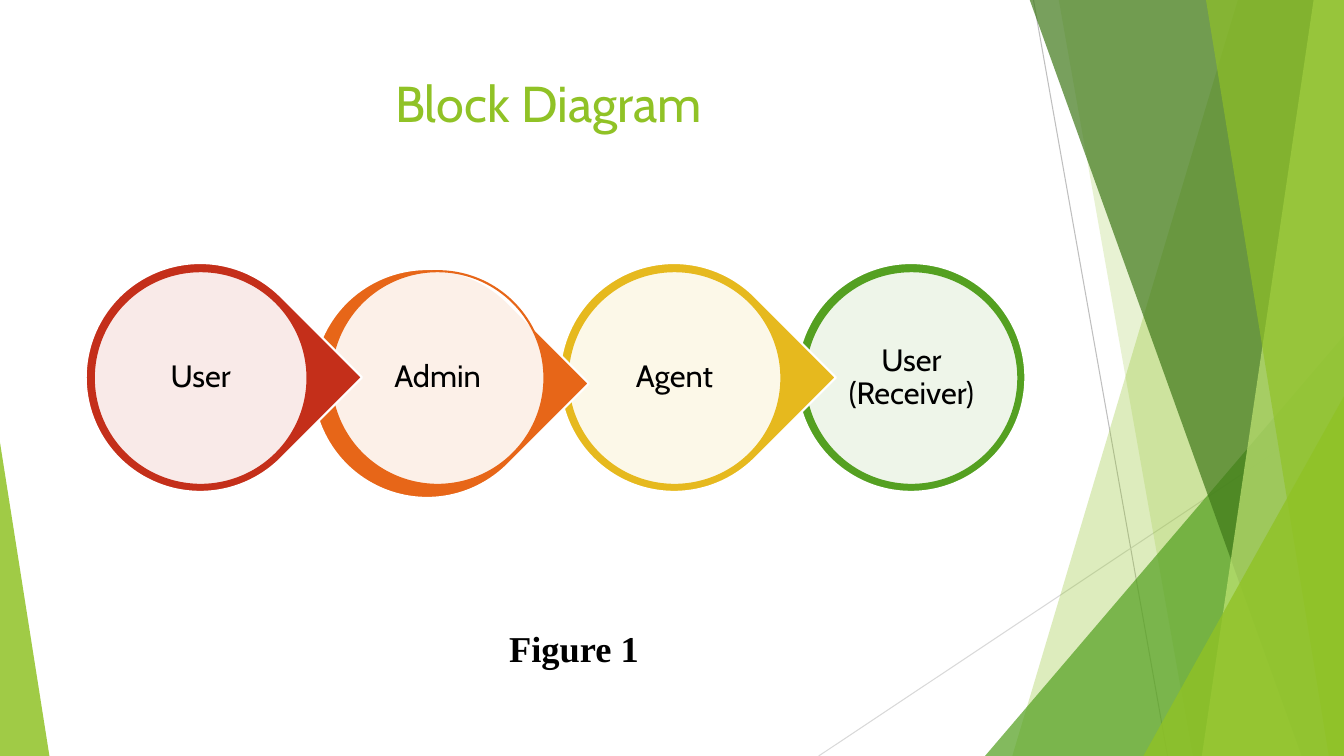
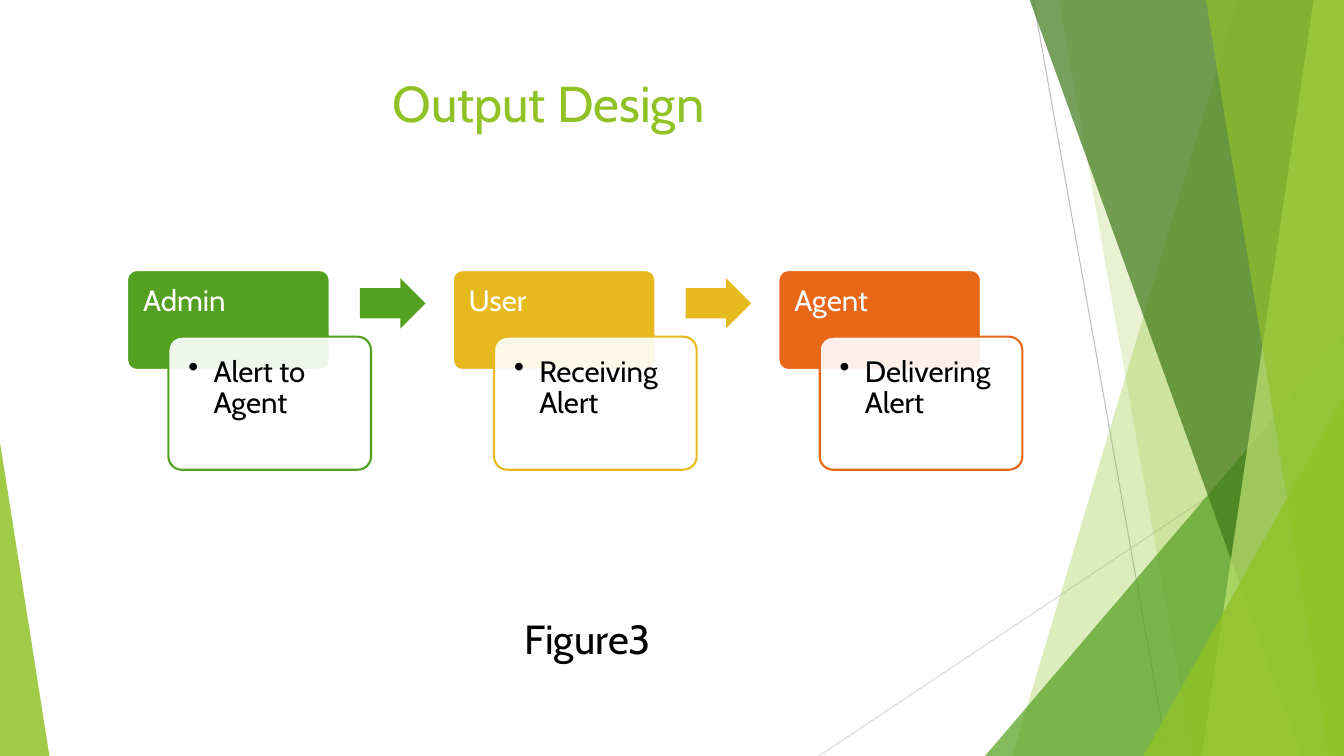
import dataclasses

import lxml.etree
import pptx
import pptx.dml.color
import pptx.enum.shapes
import pptx.enum.text
import pptx.oxml.ns
import pptx.util

Inches = pptx.util.Inches
Pt = pptx.util.Pt
SHAPE = pptx.enum.shapes.MSO_SHAPE
ALIGN = pptx.enum.text.PP_ALIGN
ANCHOR = pptx.enum.text.MSO_ANCHOR
qn = pptx.oxml.ns.qn

COLORS = {
    "lime": "90C226", "pale": "C0E474", "green": "54A021", "dark": "3F7819",
    "red": "C42F1A", "orange": "E76618", "gold": "E6B91E",
    "white": "FFFFFF", "black": "000000", "line": "BFBFBF", "soft": "D9D9D9",
}
WIDTH, HEIGHT, BLEED = 13.33, 7.5, -0.01


@dataclasses.dataclass
class Deck:
    prs: object
    s: object = None
    font: str = "Cabin"

    def color(self, name):
        return pptx.dml.color.RGBColor.from_string(COLORS[name])

    def style(self, sp, fill, alpha=100, line=None):
        sp.shadow.inherit = False
        sp.fill.solid()
        sp.fill.fore_color.rgb = self.color(fill)
        if alpha < 100:
            clr = sp._element.spPr.find(qn("a:solidFill"))[0]
            lxml.etree.SubElement(clr, qn("a:alpha")).set("val", str(alpha * 1000))
        if line:
            sp.line.color.rgb = self.color(line)
            sp.line.width = Pt(1.5)
        else:
            sp.line.fill.background()
        return sp

    def shape(self, kind, box, fill, alpha=100, line=None, adj=()):
        sp = self.s.shapes.add_shape(kind, *map(Inches, box))
        for i, value in enumerate(adj):
            sp.adjustments[i] = value
        return self.style(sp, fill, alpha, line)

    def polygon(self, points, fill, alpha):
        pts = [(Inches(x), Inches(y)) for x, y in points]
        fb = self.s.shapes.build_freeform(*pts[0])
        fb.add_line_segments(pts[1:], close=True)
        return self.style(fb.convert_to_shape(), fill, alpha)

    def line(self, start, end, color):
        c = self.s.shapes.add_connector(
            pptx.enum.shapes.MSO_CONNECTOR.STRAIGHT, *map(Inches, start + end))
        c.line.color.rgb = self.color(color)
        c.line.width = Pt(0.75)
        lxml.etree.SubElement(c._element.spPr, qn("a:effectLst"))

    def text(self, sp, text, size, color="black", align=ALIGN.CENTER,
             anchor=ANCHOR.TOP, inset=None, spacing=None, font=None, bold=False):
        tf = sp.text_frame
        tf.text = text
        tf.word_wrap = True
        tf.vertical_anchor = anchor
        if inset is not None:
            tf.margin_left = tf.margin_right = Inches(inset)
            tf.margin_top = tf.margin_bottom = Inches(inset)
        p = tf.paragraphs[0]
        p.alignment = align
        p.line_spacing = spacing
        r = p.runs[0]
        r.font.size = Pt(size)
        r.font.name = font or self.font
        r.font.bold = bold
        r.font.color.rgb = self.color(color)
        return p

    def label(self, box, text, size, **kwargs):
        return self.text(self.s.shapes.add_textbox(*map(Inches, box)), text, size, **kwargs)

    def bullet(self, p):
        ppr = p._p.get_or_add_pPr()
        ppr.set("marL", str(Inches(0.25)))
        ppr.set("indent", str(-Inches(0.25)))
        lxml.etree.SubElement(ppr, qn("a:buChar")).set("char", "•")

    def band(self, top, bottom, fill, alpha):
        self.polygon([(top, BLEED), (WIDTH, BLEED), (WIDTH, HEIGHT), (bottom, HEIGHT)],
                     fill, alpha)

    def corner(self, left, top, width, fill, alpha, apex):
        self.shape(SHAPE.ISOSCELES_TRIANGLE, (left, top, width, HEIGHT - top),
                   fill, alpha, adj=[apex])

    def slide(self, title):
        self.s = self.prs.slides.add_slide(self.prs.slide_layouts[6])
        self.line((10.25, 0), (11.58, HEIGHT), "line")
        self.line((WIDTH, 4.03), (8.12, HEIGHT), "soft")
        self.band(12.28, 10.04, "lime", 30)
        self.band(10.5, 11.83, "lime", 20)
        self.corner(9.77, 3.33, 3.56, "green", 72, 1)
        self.band(10.21, 12.91, "dark", 70)
        self.band(13.03, 11.92, "pale", 70)
        self.band(11.96, 13.18, "lime", 65)
        self.corner(11.34, 3.93, 1.99, "lime", 80, 1)
        self.corner(0, 4.39, 0.49, "lime", 85, 0)
        self.label((0.74, 0.67, 9.4, 0.94), title, 36, color="lime")

    def stage(self, x, text, color, kind=SHAPE.TEAR, dx=0, dy=0):
        drop = self.shape(kind, (x + dx, 2.61 + dy, 2.27, 2.27), color, line="white")
        if kind == SHAPE.TEAR:
            drop.rotation = 45
        disc = self.shape(SHAPE.OVAL, (x + 0.08, 2.69, 2.12, 2.12), "white", 90, color)
        self.text(disc, text, 22, anchor=ANCHOR.MIDDLE, inset=0.03, spacing=0.9)

    def card(self, x, heading, detail, color):
        head = self.shape(SHAPE.ROUNDED_RECTANGLE, (x, 2.68, 2.01, 0.99),
                          color, line="white", adj=[0.1])
        self.text(head, heading, 21, "white", ALIGN.LEFT, inset=0.13, spacing=0.9)
        body = self.shape(SHAPE.ROUNDED_RECTANGLE, (x + 0.41, 3.34, 2.01, 1.32),
                          "white", 90, color, adj=[0.1])
        self.bullet(self.text(body, detail, 21, align=ALIGN.LEFT, inset=0.16, spacing=0.9))

    def arrow(self, x, color):
        self.shape(SHAPE.RIGHT_ARROW, (x, 2.76, 0.65, 0.5), color, adj=[0.6, 0.5])


def main():
    prs = pptx.Presentation()
    prs.slide_width, prs.slide_height = Inches(WIDTH), Inches(HEIGHT)
    deck = Deck(prs)

    deck.slide("Block Diagram")
    left, pitch = 0.85, 2.35
    deck.stage(left + 3 * pitch, "User (Receiver)", "green", SHAPE.OVAL)
    deck.stage(left + 2 * pitch, "Agent", "gold")
    deck.stage(left + pitch, "Admin", "orange", dx=-0.1, dy=0.06)
    deck.stage(left, "User", "red")
    deck.label((4.26, 6.16, 2.87, 0.54), "Figure 1", 26, font="Times New Roman", bold=True)

    deck.slide("Output Design")
    cards = [
        ("Admin", "Alert to Agent", "green"),
        ("User", "Receiving Alert", "gold"),
        ("Agent", "Delivering Alert", "orange"),
    ]
    for i, (heading, detail, color) in enumerate(cards):
        x = 1.26 + 3.23 * i
        deck.card(x, heading, detail, color)
        if i < len(cards) - 1:
            deck.arrow(x + 2.31, color)
    deck.label((3.75, 6.04, 4.16, 0.59), "Figure3", 29)

    prs.save("out.pptx")


if __name__ == "__main__":
    main()
